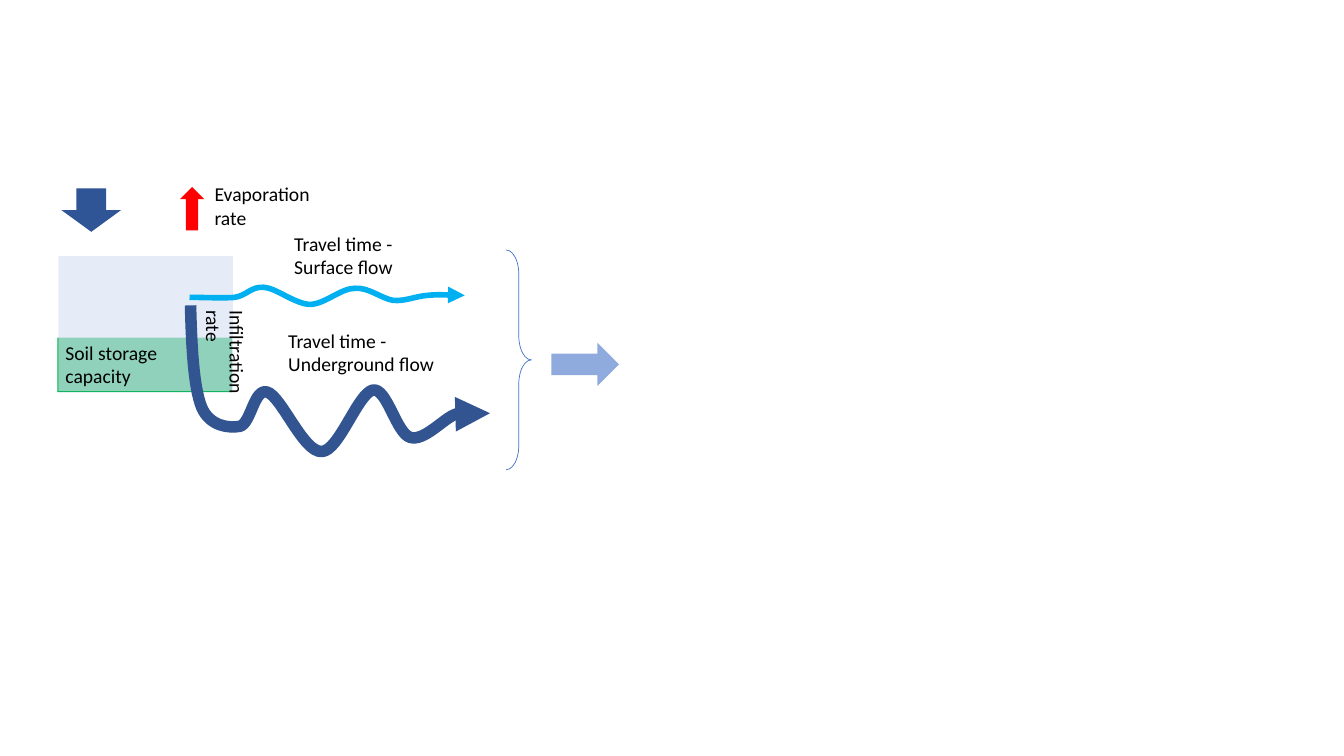
import lxml.etree
import pptx
import pptx.dml.color
import pptx.enum.shapes
import pptx.enum.text
import pptx.oxml.ns
import pptx.util
from pptx.util import Inches

SHAPES = pptx.enum.shapes.MSO_SHAPE
qn = pptx.oxml.ns.qn

COLORS = {
    "text": "000000",
    "soil": "00B050",
    "storage": "DAE3F3",
    "outflow": "8FAADC",
    "evaporation": "FF0000",
    "rain": "2F5597",
    "surface": "00B0F0",
    "underground": "325491",
    "brace": "4472C4",
}

# Start point, then two control points and an end point per curve.
SURFACE_FLOW = [
    (1.88, 2.95),
    (2.04, 2.95), (2.21, 2.96), (2.33, 2.95),
    (2.45, 2.93), (2.49, 2.84), (2.62, 2.85),
    (2.74, 2.86), (2.92, 3.01), (3.07, 3.02),
    (3.22, 3.02), (3.38, 2.86), (3.52, 2.86),
    (3.66, 2.85), (3.78, 2.96), (3.9, 2.98),
    (4.02, 2.99), (4.12, 2.94), (4.24, 2.93),
    (4.36, 2.92), (4.52, 2.93), (4.61, 2.93),
]
UNDERGROUND_FLOW = [
    (1.89, 3.03),
    (1.9, 3.43), (1.92, 3.84), (2, 4.04),
    (2.08, 4.23), (2.27, 4.25), (2.38, 4.23),
    (2.49, 4.2), (2.52, 3.85), (2.65, 3.89),
    (2.79, 3.93), (3.01, 4.49), (3.19, 4.48),
    (3.36, 4.48), (3.55, 3.9), (3.7, 3.87),
    (3.84, 3.85), (3.93, 4.3), (4.07, 4.34),
    (4.21, 4.38), (4.4, 4.15), (4.52, 4.11),
    (4.63, 4.07), (4.7, 4.11), (4.76, 4.1),
    (4.82, 4.1), (4.84, 4.1), (4.86, 4.1),
]


def rgb(name):
    return pptx.dml.color.RGBColor.from_string(COLORS[name])


def set_line(shape, color, width):
    """Leave the shape unfilled, with a plain outline and no shadow."""
    shape.shadow.inherit = False
    shape.fill.background()
    shape.line.color.rgb = rgb(color)
    shape.line.width = pptx.util.Pt(width)


def add_filled(slide, kind, place, color, rotation=0, opacity=100):
    shape = slide.shapes.add_shape(kind, *map(Inches, place))
    shape.shadow.inherit = False
    shape.rotation = rotation
    shape.fill.solid()
    shape.fill.fore_color.rgb = rgb(color)
    shape.line.fill.background()
    if opacity < 100:
        tint = next(shape._element.spPr.iter(qn("a:srgbClr")))
        alpha = lxml.etree.SubElement(tint, qn("a:alpha"))
        alpha.set("val", str(opacity * 1000))


def add_label(slide, text, place, rotation=0):
    box = slide.shapes.add_textbox(*map(Inches, place))
    box.rotation = rotation
    frame = box.text_frame
    frame.word_wrap = True
    frame.auto_size = pptx.enum.text.MSO_AUTO_SIZE.SHAPE_TO_FIT_TEXT
    span = frame.paragraphs[0].add_run()
    span.text = text
    span.font.name = "Calibri"
    span.font.size = pptx.util.Pt(14)
    span.font.color.rgb = rgb("text")


def add_flow(slide, points, color, width):
    """Draw a smooth curve that ends in an arrowhead."""
    start, *rest = [(Inches(x), Inches(y)) for x, y in points]
    builder = slide.shapes.build_freeform(*start)
    builder.add_line_segments(rest, close=False)
    flow = builder.convert_to_shape()
    set_line(flow, color, width)

    # Every three straight segments become one Bézier curve.
    segments = list(flow._element.iter(qn("a:lnTo")))
    for first in range(0, len(segments), 3):
        curve = lxml.etree.Element(qn("a:cubicBezTo"))
        segments[first].addprevious(curve)
        for segment in segments[first:first + 3]:
            curve.append(segment[0])
            segment.getparent().remove(segment)

    tail = lxml.etree.SubElement(flow.line._get_or_add_ln(), qn("a:tailEnd"))
    tail.set("type", "triangle")


def add_brace(slide, place):
    brace = slide.shapes.add_shape(SHAPES.LEFT_BRACE, *map(Inches, place))
    brace.rotation = 180
    brace.adjustments[0] = 0.958
    brace.adjustments[1] = 0.5
    set_line(brace, "brace", 0.5)


def main():
    deck = pptx.Presentation()
    deck.slide_width = Inches(13.33)
    deck.slide_height = Inches(7.5)
    slide = deck.slides.add_slide(deck.slide_layouts[6])

    add_filled(slide, SHAPES.RECTANGLE, (0.57, 3.35, 1.73, 0.54), "soil")
    add_filled(slide, SHAPES.RECTANGLE, (0.58, 2.54, 1.73, 1.34), "storage",
               opacity=66)
    add_label(slide, "Infiltration rate", (1.69, 3.24, 1.09, 0.57), 90)

    arrow = SHAPES.RIGHT_ARROW
    add_filled(slide, arrow, (5.47, 3.4, 0.67, 0.43), "outflow")
    add_filled(slide, arrow, (1.69, 1.95, 0.43, 0.24), "evaporation", 270)
    add_filled(slide, arrow, (0.69, 1.79, 0.43, 0.59), "rain", 90)
    add_label(slide, "Evaporation rate", (2.03, 1.76, 1.33, 0.57))

    add_flow(slide, SURFACE_FLOW, "surface", 4)
    add_label(slide, "Travel time - Surface flow", (2.82, 2.25, 1.56, 0.57))
    add_label(slide, "Travel time - Underground flow",
              (2.76, 3.21, 1.81, 0.57))
    add_brace(slide, (5.02, 2.48, 0.25, 2.18))
    add_flow(slide, UNDERGROUND_FLOW, "underground", 8.25)
    add_label(slide, "Soil storage capacity", (0.55, 3.33, 1.38, 0.57))

    deck.save("out.pptx")


if __name__ == "__main__":
    main()
